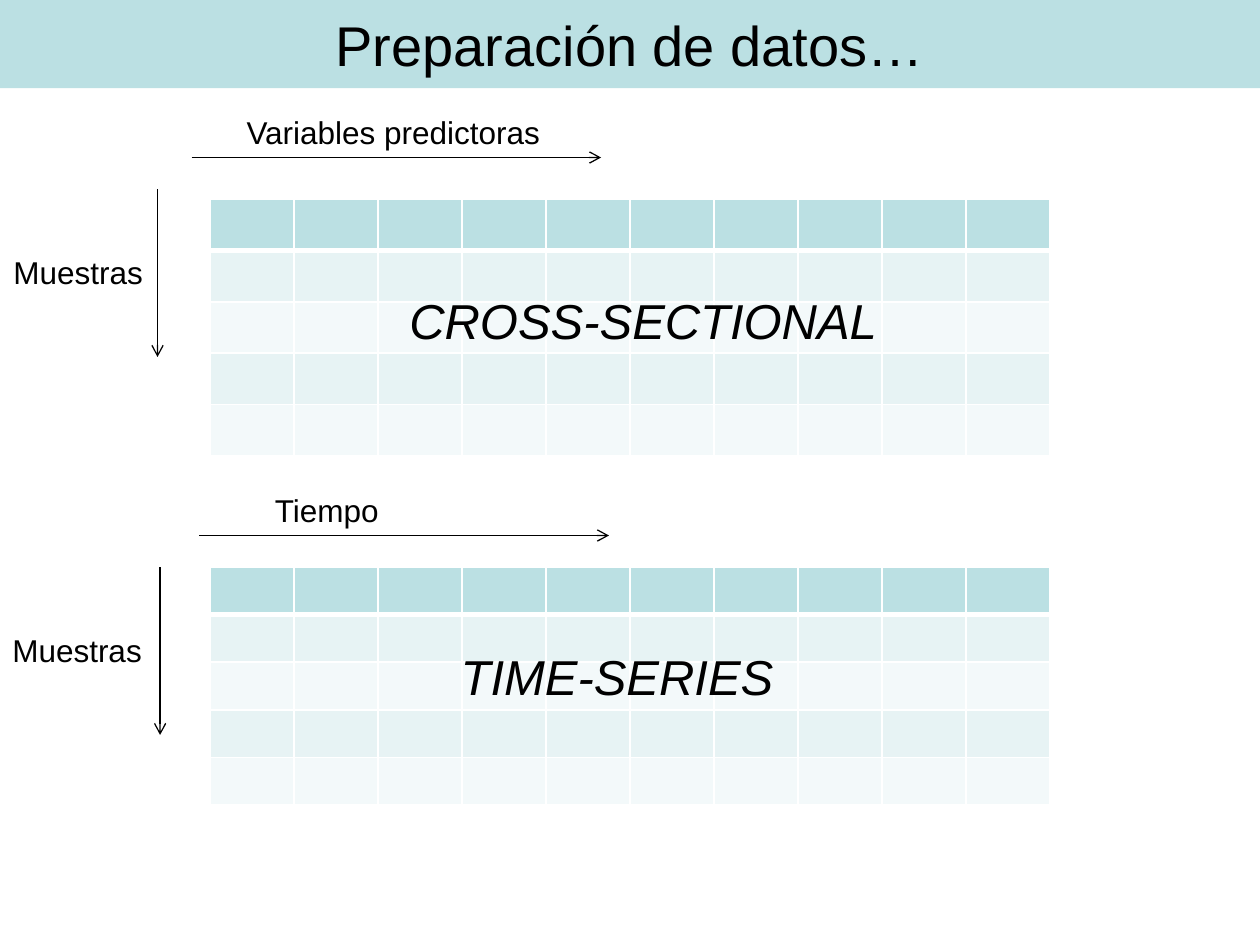
from typing import NamedTuple

from lxml import etree
from pptx import Presentation
from pptx import util as u
from pptx.dml.color import RGBColor
from pptx.enum import shapes, text
from pptx.oxml import ns

COLOURS = {"ink": "000000", "header": "BBE0E3", "odd": "E7F3F4",
           "even": "F3F9FA", "border": "FFFFFF"}
FONT = "Arial"
GRID_COLUMNS, GRID_ROWS = 120, 90
TABLE_COLUMNS, TABLE_ROWS = 10, 5


class Area(NamedTuple):
    """A rectangle in grid columns and rows."""
    column: float
    row: float
    columns: float
    rows: float


class Arrow(NamedTuple):
    start: tuple[float, float]
    end: tuple[float, float]


class Label(NamedTuple):
    words: str
    area: Area
    size: int = 18
    italic: bool = False


class Panel(NamedTuple):
    """A data table with its axis arrows and labels."""
    table: Area
    arrows: list[Arrow]
    labels: list[Label]


PANELS = [
    Panel(Area(20, 19, 80, 24.4),
          [Arrow((18.25, 15), (57.25, 15)), Arrow((15, 18), (15, 34))],
          [Label("Variables predictoras", Area(22.3, 10.2, 30.6, 4.8)),
           Label("Muestras", Area(0.1, 23.5, 14.9, 4.8)),
           Label("CROSS-SECTIONAL", Area(37.8, 27.1, 47.4, 6.8), 28, True)]),
    Panel(Area(20, 54, 80, 22.7),
          [Arrow((19, 51), (58, 51)), Arrow((15.25, 54), (15.25, 70))],
          [Label("Tiempo", Area(25, 46.2, 12.4, 4.8)),
           Label("Muestras", Area(0, 59.5, 14.9, 4.8)),
           Label("TIME-SERIES", Area(42.7, 61, 32.5, 6.8), 28, True)]),
]

deck = Presentation()
deck.slide_width, deck.slide_height = u.Inches(10), u.Inches(7.5)
page = deck.slides.add_slide(deck.slide_layouts[6])


def x(columns: float) -> int:
    return round(deck.slide_width * columns / GRID_COLUMNS)


def y(rows: float) -> int:
    return round(deck.slide_height * rows / GRID_ROWS)


def place(area: Area) -> tuple[int, int, int, int]:
    return x(area.column), y(area.row), x(area.columns), y(area.rows)


def colour(name: str) -> RGBColor:
    return RGBColor.from_string(COLOURS[name])


def write(box, words: str, size: int, italic: bool = False) -> None:
    span = box.text_frame.paragraphs[0].add_run()
    span.text = words
    for key, value in {"name": FONT, "size": u.Pt(size), "italic": italic}.items():
        setattr(span.font, key, value)
    span.font.color.rgb = colour("ink")


def draw_title(words: str) -> None:
    box = page.shapes.add_shape(shapes.MSO_SHAPE.RECTANGLE,
                                *place(Area(0, 0, GRID_COLUMNS, 8.4)))
    box.shadow.inherit = False
    box.fill.solid()
    box.fill.fore_color.rgb = colour("header")
    box.line.fill.background()
    box.text_frame.vertical_anchor = text.MSO_ANCHOR.MIDDLE
    box.text_frame.paragraphs[0].alignment = text.PP_ALIGN.CENTER
    write(box, words, 32)


def set_borders(cell, widths: dict[str, float]) -> None:
    properties = cell._tc.get_or_add_tcPr()
    for side, width in widths.items():
        line = etree.SubElement(properties, ns.qn(f"a:ln{side}"), w=str(u.Pt(width)))
        fill = etree.SubElement(line, ns.qn("a:solidFill"))
        etree.SubElement(fill, ns.qn("a:srgbClr"), val=COLOURS["border"])


def draw_table(area: Area) -> None:
    table = page.shapes.add_table(TABLE_ROWS, TABLE_COLUMNS, *place(area)).table
    for row_index, row in enumerate(table.rows):
        row.height = y(area.rows / TABLE_ROWS)
        band = "header" if row_index == 0 else "odd" if row_index % 2 else "even"
        widths = {"L": 1, "R": 1, "T": 3 if row_index == 1 else 1,
                  "B": 3 if row_index == 0 else 1}
        for cell in row.cells:
            cell.margin_top = cell.margin_bottom = u.Inches(0.02)
            set_borders(cell, widths)
            cell.fill.solid()
            cell.fill.fore_color.rgb = colour(band)


def draw_arrow(arrow: Arrow) -> None:
    (x1, y1), (x2, y2) = arrow
    line = page.shapes.add_connector(shapes.MSO_CONNECTOR.STRAIGHT,
                                     x(x1), y(y1), x(x2), y(y2))
    line.line.color.rgb = colour("ink")
    line.line.width = u.Pt(0.75)
    etree.SubElement(line.line._get_or_add_ln(), ns.qn("a:tailEnd"), type="arrow")
    etree.SubElement(line._element.spPr, ns.qn("a:effectLst"))


def draw_label(label: Label) -> None:
    box = page.shapes.add_textbox(*place(label.area))
    box.text_frame.word_wrap = False
    box.text_frame.auto_size = text.MSO_AUTO_SIZE.SHAPE_TO_FIT_TEXT
    write(box, label.words, label.size, label.italic)


draw_title("Preparación de datos…")
for panel in PANELS:
    draw_table(panel.table)
    for arrow in panel.arrows:
        draw_arrow(arrow)
    for label in panel.labels:
        draw_label(label)

deck.save("out.pptx")
